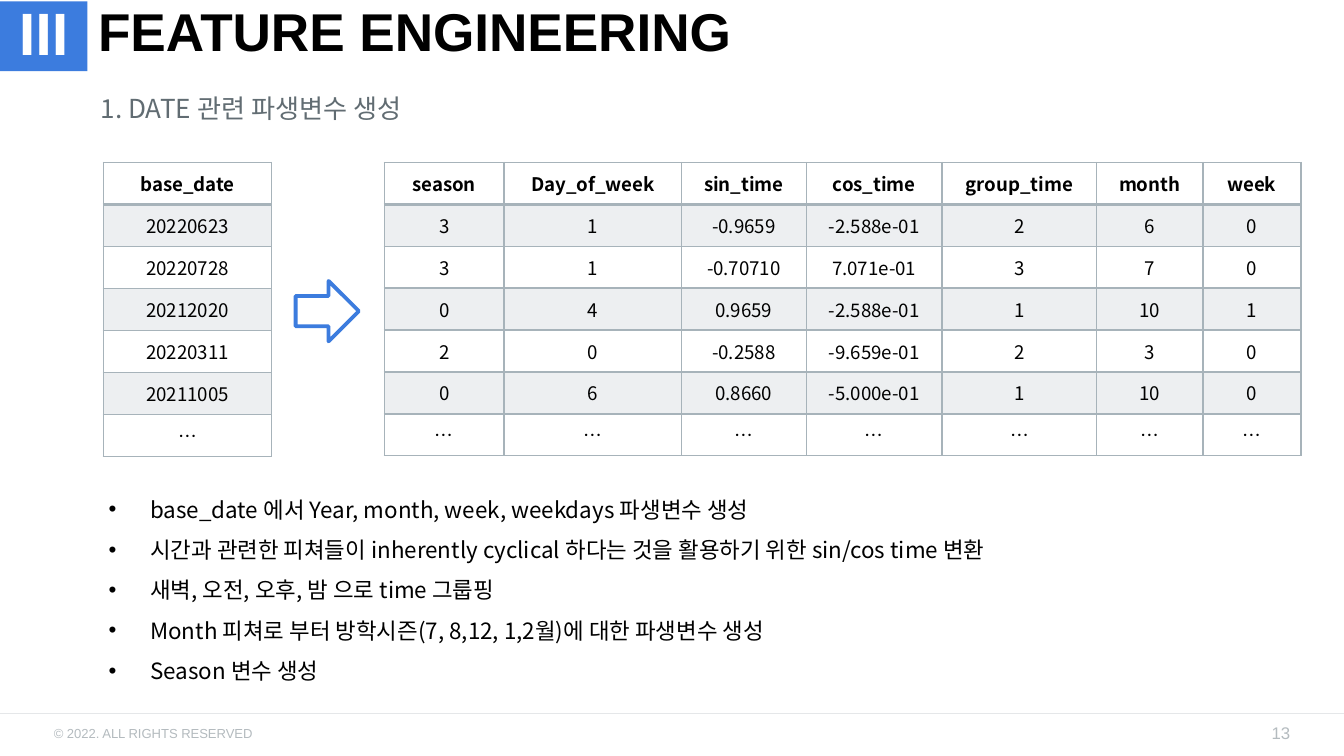
import pptx
import pptx.dml.color
import pptx.enum.shapes
import pptx.enum.text
import pptx.oxml.ns
import pptx.util
from dataclasses import dataclass
from lxml import etree

Inches, Pt = pptx.util.Inches, pptx.util.Pt
ALIGN, ANCHOR = pptx.enum.text.PP_ALIGN, pptx.enum.text.MSO_ANCHOR
SHAPE = pptx.enum.shapes.MSO_SHAPE


@dataclass(frozen=True)
class Theme:
    accent: str = "3C7CDE"
    ink: str = "000000"
    paper: str = "FFFFFF"
    heading: str = "616C72"
    footer: str = "B4BBBF"
    rule: str = "E5E7E9"
    grid: str = "A7B3BA"
    latin: str = "Arial"
    korean: str = "Noto Sans CJK KR"
    title_size: float = 28.5
    section_size: float = 32
    heading_size: float = 14
    bullet_size: float = 12
    table_size: float = 10
    number_size: float = 9
    copyright_size: float = 7
    bullet_spacing: float = 1.5


THEME = Theme()
WIDTH = 10
HEIGHT = WIDTH * 9 / 16
TABLE_TOP = 1.21
TIGHT = (0.08, 0.04)
ROOMY = (0.1, 0.05)

SECTION = "III"
TITLE = "FEATURE ENGINEERING"
HEADING = "1. DATE 관련 파생변수 생성"
COPYRIGHT = "© 2022. ALL RIGHTS RESERVED"
PAGE_NUMBER = "13"

BASE_DATES = [["base_date"], ["20220623"], ["20220728"], ["20212020"],
              ["20220311"], ["20211005"], ["…"]]
FEATURES = [
    ["season", "Day_of_week", "sin_time", "cos_time", "group_time", "month", "week"],
    ["3", "1", "-0.9659", "-2.588e-01", "2", "6", "0"],
    ["3", "1", "-0.70710", "7.071e-01", "3", "7", "0"],
    ["0", "4", "0.9659", "-2.588e-01", "1", "10", "1"],
    ["2", "0", "-0.2588", "-9.659e-01", "2", "3", "0"],
    ["0", "6", "0.8660", "-5.000e-01", "1", "10", "0"],
    ["…"] * 7,
]
# left edge, height, column widths, rows
TABLES = [
    (0.77, 2.19, [1.25], BASE_DATES),
    (2.86, 2.18, [0.89, 1.32, 0.93, 1.01, 1.15, 0.79, 0.73], FEATURES),
]
BULLETS = [
    "base_date 에서 Year, month, week, weekdays 파생변수 생성",
    "시간과 관련한 피쳐들이 inherently cyclical 하다는 것을 활용하기 위한 sin/cos time 변환",
    "새벽, 오전, 오후, 밤 으로 time 그룹핑",
    "Month 피쳐로 부터 방학시즌(7, 8,12, 1,2월)에 대한 파생변수 생성",
    "Season 변수 생성",
]


def rgb(value):
    return pptx.dml.color.RGBColor.from_string(value)


def add_xml(parent, tag, **attributes):
    element = etree.SubElement(parent, pptx.oxml.ns.qn(tag))
    for name, value in attributes.items():
        element.set(name, str(value))
    return element


def style(paragraph, face, size, color, bold=False, align=ALIGN.LEFT):
    paragraph.alignment = align
    font = paragraph.font
    font.size, font.bold, font.name = Pt(size), bold, face
    font.color.rgb = rgb(color)
    defaults = paragraph._p.pPr.find(pptx.oxml.ns.qn("a:defRPr"))
    add_xml(defaults, "a:ea", typeface=face)


def set_frame(frame, insets, anchor):
    frame.word_wrap = True
    frame.vertical_anchor = anchor
    frame.margin_left = frame.margin_right = Inches(insets[0])
    frame.margin_top = frame.margin_bottom = Inches(insets[1])


def add_text(slide, box, text, face, size, color, insets=TIGHT,
             anchor=ANCHOR.MIDDLE, **options):
    frame = slide.shapes.add_textbox(*map(Inches, box)).text_frame
    set_frame(frame, insets, anchor)
    line = frame.paragraphs[0]
    line.text = text
    style(line, face, size, color, **options)
    return line


def add_shape(slide, kind, box, fill, line=None):
    shape = slide.shapes.add_shape(kind, *map(Inches, box))
    shape.shadow.inherit = False
    shape.fill.solid()
    shape.fill.fore_color.rgb = rgb(fill)
    if line:
        shape.line.color.rgb = rgb(line)
        shape.line.width = Pt(2)
    else:
        shape.line.fill.background()
    return shape


def add_border(cell, side, width):
    line = add_xml(cell._tc.get_or_add_tcPr(), f"a:ln{side}", w=Pt(width))
    add_xml(add_xml(line, "a:solidFill"), "a:srgbClr", val=THEME.grid)


def fill_cell(cell, text, row):
    cell.text = text
    cell.vertical_anchor = ANCHOR.MIDDLE
    style(cell.text_frame.paragraphs[0], THEME.korean, THEME.table_size,
          THEME.ink, bold=row == 0, align=ALIGN.CENTER)
    for side in "LRTB":
        under_header = (row, side) in ((0, "B"), (1, "T"))
        add_border(cell, side, 2 if under_header else 1)
    if row % 2:
        tint = add_xml(cell._tc.tcPr, "a:solidFill")
        add_xml(add_xml(tint, "a:srgbClr", val=THEME.grid), "a:alpha", val=20000)
    else:
        cell.fill.background()


def add_data_table(slide, left, height, widths, rows):
    table = slide.shapes.add_table(
        len(rows), len(widths), Inches(left), Inches(TABLE_TOP),
        Inches(sum(widths)), Inches(height)).table
    table.first_row = table.horz_banding = False
    for column, width in zip(table.columns, widths):
        column.width = Inches(width)
    for r, values in enumerate(rows):
        table.rows[r].height = Inches(height / len(rows))
        for c, value in enumerate(values):
            fill_cell(table.cell(r, c), value, r)


def add_bullets(slide, box):
    frame = slide.shapes.add_textbox(*map(Inches, box)).text_frame
    set_frame(frame, ROOMY, ANCHOR.TOP)
    for i, text in enumerate(BULLETS):
        item = frame.add_paragraph() if i else frame.paragraphs[0]
        item.text = text
        properties = item._p.get_or_add_pPr()
        properties.set("marL", str(Inches(0.31)))
        properties.set("indent", str(Inches(-0.31)))
        add_xml(add_xml(properties, "a:buClr"), "a:srgbClr", val=THEME.ink)
        add_xml(properties, "a:buFont", typeface=THEME.latin)
        add_xml(properties, "a:buChar", char="•")
        style(item, THEME.korean, THEME.bullet_size, THEME.ink)
        item.line_spacing = THEME.bullet_spacing


def add_footer(slide):
    rule = slide.shapes.add_connector(
        pptx.enum.shapes.MSO_CONNECTOR.STRAIGHT,
        0, Inches(5.31), Inches(WIDTH), Inches(5.31))
    rule.line.color.rgb = rgb(THEME.rule)
    rule.line.width = Pt(0.75)
    add_xml(rule._element.spPr, "a:effectLst")
    add_text(slide, (0.32, 5.36, 3.38, 0.2), COPYRIGHT, THEME.latin,
             THEME.copyright_size, THEME.footer)
    add_text(slide, (7.43, 5.34, 2.25, 0.23), PAGE_NUMBER, THEME.latin,
             THEME.number_size, THEME.footer, align=ALIGN.RIGHT)


def add_header(slide):
    title = add_text(slide, (0.65, 0, 7.98, 0.46), TITLE, THEME.latin,
                     THEME.title_size, THEME.ink, anchor=ANCHOR.TOP, bold=True)
    title.line_spacing = 0.9
    badge = add_shape(slide, SHAPE.RECTANGLE, (0, 0.01, 0.65, 0.52), THEME.accent)
    set_frame(badge.text_frame, TIGHT, ANCHOR.MIDDLE)
    numeral = badge.text_frame.paragraphs[0]
    numeral.text = SECTION
    style(numeral, THEME.latin, THEME.section_size, THEME.paper,
          bold=True, align=ALIGN.CENTER)
    numeral.line_spacing = 0.9
    add_text(slide, (0.65, 0.64, 4.3, 0.57), HEADING, THEME.korean,
             THEME.heading_size, THEME.heading, insets=ROOMY, anchor=ANCHOR.TOP)


def main():
    deck = pptx.Presentation()
    deck.slide_width, deck.slide_height = Inches(WIDTH), Inches(HEIGHT)
    slide = deck.slides.add_slide(deck.slide_layouts[6])
    add_footer(slide)
    add_header(slide)
    for left, height, widths, rows in TABLES:
        add_data_table(slide, left, height, widths, rows)
    add_shape(slide, SHAPE.RIGHT_ARROW, (2.2, 2.09, 0.47, 0.45),
              THEME.paper, THEME.accent)
    add_bullets(slide, (0.71, 3.54, 8.49, 1.59))
    deck.save("out.pptx")


if __name__ == "__main__":
    main()
